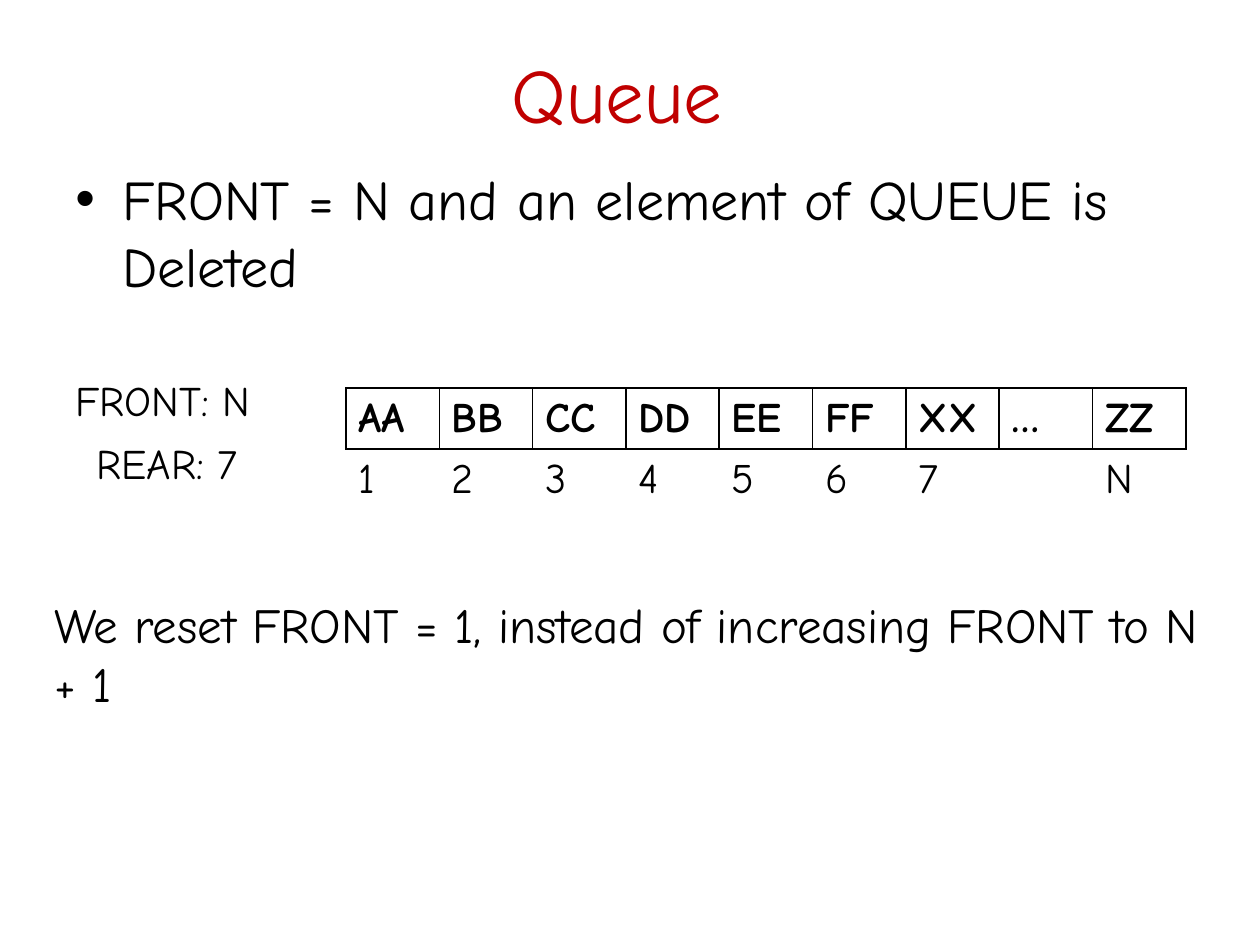
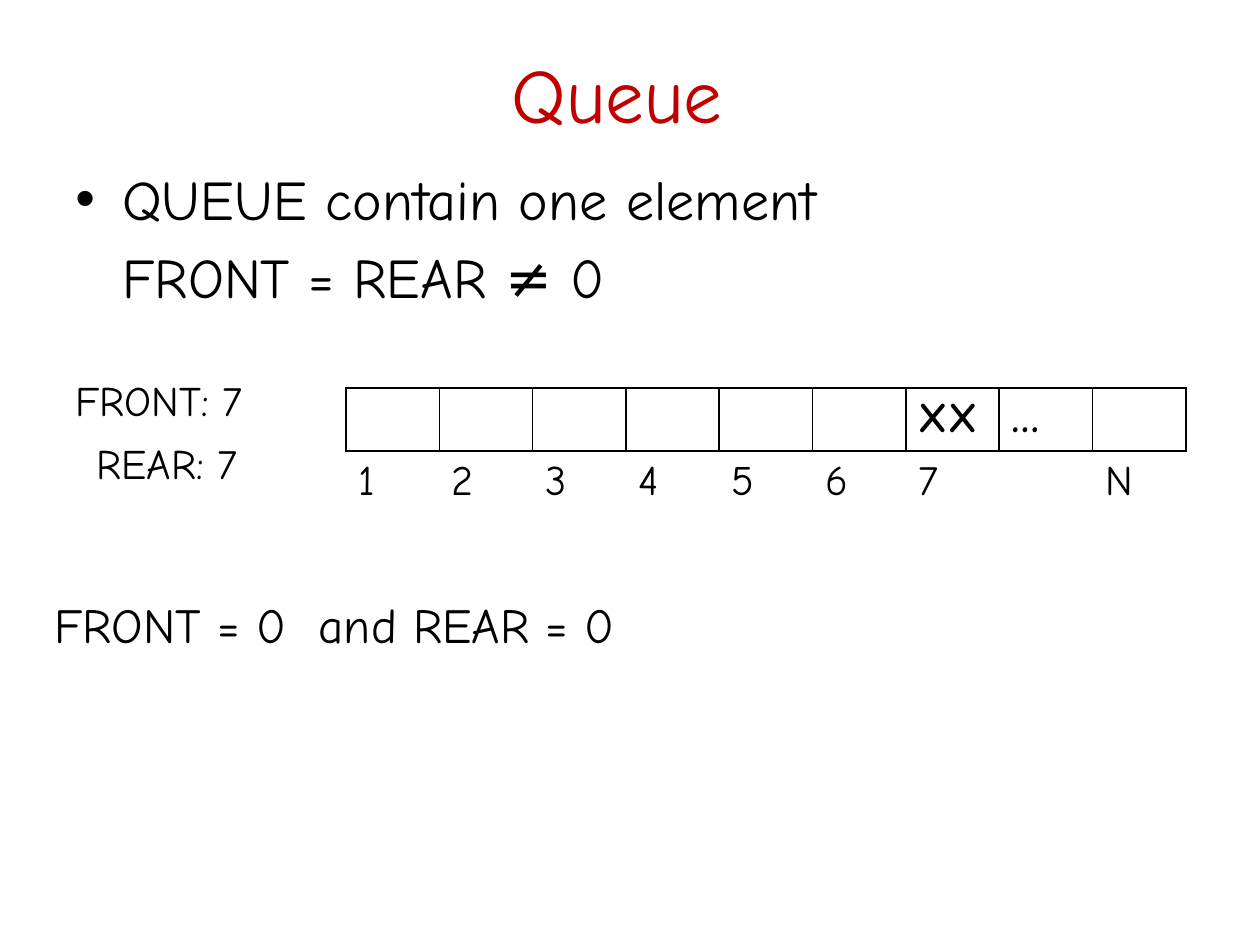
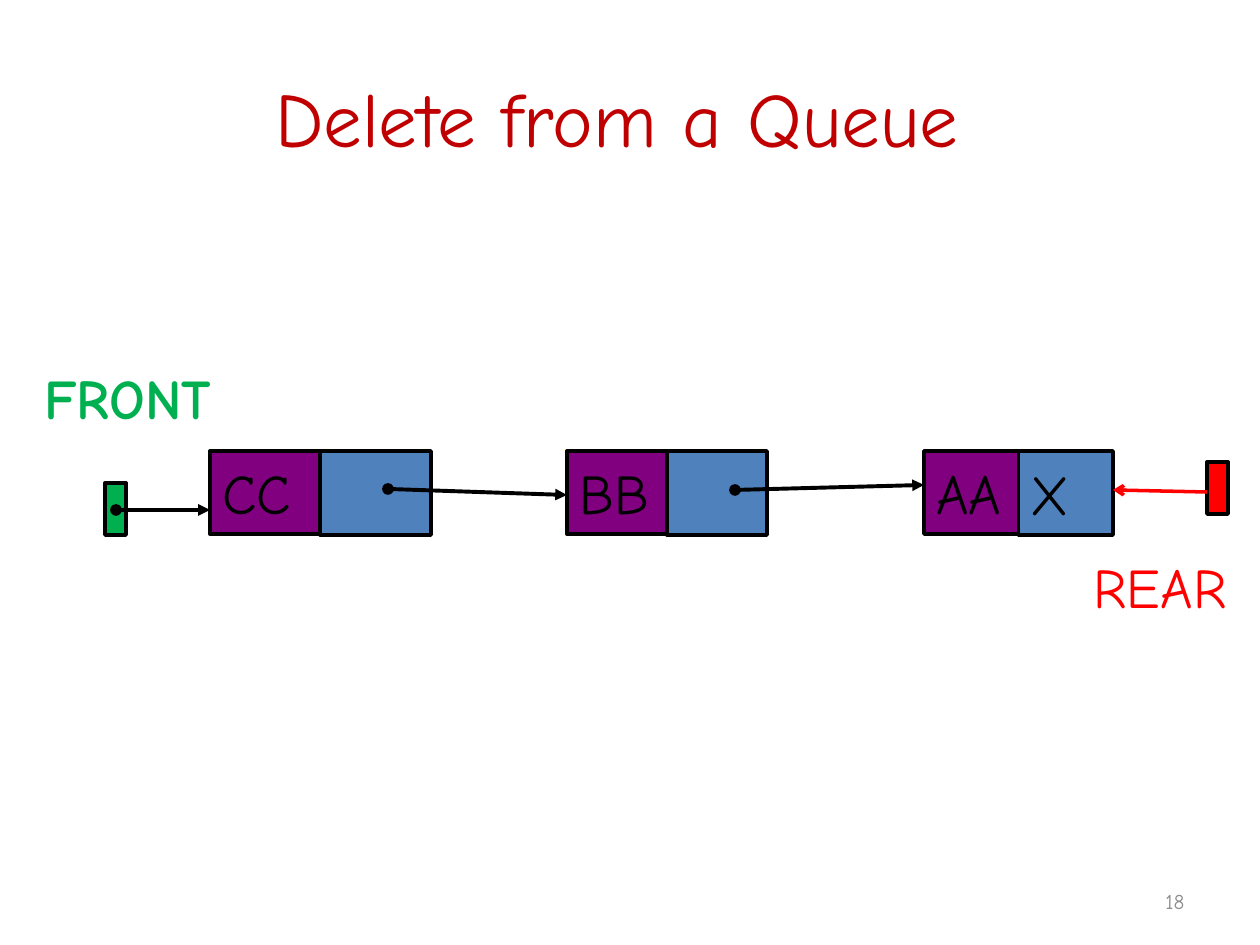
from dataclasses import dataclass

from lxml import etree
from pptx import Presentation
from pptx.dml.color import RGBColor
from pptx.enum.shapes import MSO_CONNECTOR, MSO_SHAPE
from pptx.enum.text import MSO_ANCHOR, MSO_AUTO_SIZE, PP_ALIGN
from pptx.oxml.ns import qn
from pptx.util import Pt

PX = 7257.14


@dataclass(frozen=True)
class Theme:
    """Hold the colours, type sizes and line widths of the deck."""
    font: str = "Comic Neue"
    title: str = "C00000"
    ink: str = "000000"
    data: str = "800080"
    pointer: str = "4F81BD"
    front: str = "00B050"
    rear: str = "FF0000"
    muted: str = "8C8C8C"
    title_size: int = 44
    body_size: int = 32
    note_size: int = 28
    cell_size: int = 24
    number_size: int = 12
    outline: float = 2.25
    rear_line: float = 2
    grid: float = 1


T = Theme()


def px(n):
    """Turn pixels into EMU."""
    return round(n * PX)


def rgb(color):
    """Turn a hex string into a colour."""
    return RGBColor.from_string(color)


def add_run(p, text, size, color=T.ink, bold=False):
    """Add one styled run to a paragraph."""
    r = p.add_run()
    r.text = text
    r.font.name, r.font.size, r.font.bold = T.font, Pt(size), bold
    r.font.color.rgb = rgb(color)


def add_text(shapes, box, text, size, color=T.ink, bold=False,
             align=PP_ALIGN.LEFT, anchor=MSO_ANCHOR.TOP, grow=False):
    """Place a wrapped line of text in a box."""
    tf = shapes.add_textbox(*map(px, box)).text_frame
    tf.word_wrap = True
    tf.vertical_anchor = anchor
    tf.auto_size = MSO_AUTO_SIZE.SHAPE_TO_FIT_TEXT if grow else MSO_AUTO_SIZE.NONE
    if text:
        p = tf.paragraphs[0]
        p.alignment = align
        add_run(p, text, size, color, bold)
    return tf


def add_title(s, text, height):
    """Place the centred slide title."""
    add_text(s.shapes, (63, 38, 1134, height), text, T.title_size, T.title,
             align=PP_ALIGN.CENTER, anchor=MSO_ANCHOR.MIDDLE)


def add_body(s, box, lines):
    """Place a bulleted first line and indented lines below it."""
    tf = add_text(s.shapes, box, "", T.body_size)
    for i, line in enumerate(lines):
        p = tf.add_paragraph() if i else tf.paragraphs[0]
        p.space_before = Pt(0.2 * T.body_size)
        pPr = p._p.get_or_add_pPr()
        pPr.set("marL", str(px(47)))
        pPr.set("indent", str(0 if i else -px(47)))
        if i == 0:
            etree.SubElement(pPr, qn("a:buFont")).set("typeface", "Arial")
            etree.SubElement(pPr, qn("a:buChar")).set("char", "\u2022")
        add_run(p, line, T.body_size)


def set_borders(cell, shown):
    """Draw the shown sides of a cell and clear the others."""
    tcPr = cell._tc.get_or_add_tcPr()
    for side in "LRTB":
        ln = etree.SubElement(tcPr, qn(f"a:ln{side}"), w=str(Pt(T.grid)))
        if side in shown:
            fill = etree.SubElement(ln, qn("a:solidFill"))
            etree.SubElement(fill, qn("a:srgbClr")).set("val", T.ink)
        else:
            etree.SubElement(ln, qn("a:noFill"))


def add_array(s, box, values):
    """Place the queue array with its indexes below the cells."""
    indexes = [*"1234567", "", "N"]
    x, y, w, h = box
    table = s.shapes.add_table(2, len(indexes), px(x), px(y), px(w), px(h)).table
    table.first_row = table.horz_banding = False
    for col in table.columns:
        col.width = px(w / len(indexes))
    for i, texts in enumerate((values, indexes)):
        table.rows[i].height = px(52)
        for j, text in enumerate(texts):
            cell = table.cell(i, j)
            set_borders(cell, "T" if i else "LRTB")
            cell.fill.background()
            if text:
                add_run(cell.text_frame.paragraphs[0], text, T.cell_size, bold=i == 0)


def array_slide(prs, lines, front, rear, values, note, note_height):
    """Build a slide that shows one state of the queue array."""
    s = prs.slides.add_slide(prs.slide_layouts[6])
    add_title(s, "Queue ", 109)
    add_body(s, (63, 158, 1134, 158), lines)
    add_array(s, (346, 388, 840, 126), values)
    add_text(s.shapes, (63, 368, 273, 63), front, T.cell_size, grow=True)
    add_text(s.shapes, (84, 431, 231, 63), rear, T.cell_size, grow=True)
    add_text(s.shapes, (42, 588, 1197, note_height), note, T.note_size, grow=True)


def add_block(shapes, box, fill, text=""):
    """Place an outlined rectangle with optional text."""
    sp = shapes.add_shape(MSO_SHAPE.RECTANGLE, *map(px, box))
    sp.shadow.inherit = False
    sp.fill.solid()
    sp.fill.fore_color.rgb = rgb(fill)
    sp.line.color.rgb = rgb(T.ink)
    sp.line.width = Pt(T.outline)
    if text:
        tf = sp.text_frame
        tf.word_wrap = False
        tf.vertical_anchor = MSO_ANCHOR.MIDDLE
        p = tf.paragraphs[0]
        p.alignment = PP_ALIGN.LEFT
        add_run(p, text, T.body_size)


def add_arrow(shapes, start, end, color=T.ink, width=T.outline, head="oval", tail="triangle"):
    """Draw a straight arrow between two points."""
    cx = shapes.add_connector(MSO_CONNECTOR.STRAIGHT, *map(px, (*start, *end)))
    cx.line.color.rgb = rgb(color)
    cx.line.width = Pt(width)
    ln = cx.line._get_or_add_ln()
    etree.SubElement(ln, qn("a:headEnd")).set("type", head)
    etree.SubElement(ln, qn("a:tailEnd")).set("type", tail)
    etree.SubElement(cx._element.spPr, qn("a:effectLst"))


def add_node(shapes, box, value, link=""):
    """Place a list node: a data half and a pointer half."""
    x, y, w, h = box
    add_block(shapes, (x + w / 2, y, w / 2, h), T.pointer, link)
    add_block(shapes, (x, y, w / 2, h - 1), T.data, value)


def add_linked_list(s, x, y):
    """Place the linked queue with its front pointer."""
    shapes = s.shapes.add_group_shape().shapes
    nodes = (("CC", 221, ""), ("BB", 200, ""), ("AA", 189, "X"))
    for i, (value, width, link) in enumerate(nodes):
        add_node(shapes, (x + 105 + 357 * i, y, width, 84), value, link)
    add_block(shapes, (x, y + 32, 21, 52), T.front)
    for x1, y1, x2, y2 in ((11, 59, 105, 59), (283, 38, 462, 44), (630, 39, 819, 34)):
        add_arrow(shapes, (x + x1, y + y1), (x + x2, y + y2))
    add_text(shapes, (x - 73, y - 94, 231, 81), "FRONT", T.body_size, T.front, True, grow=True)


def add_rear(s, x, y):
    """Place the rear pointer with its arrow and label."""
    add_block(s.shapes, (x, y, 21, 52), T.rear)
    add_arrow(s.shapes, (x, y + 30), (x - 94, y + 28), T.rear, T.rear_line, "none", "arrow")
    add_text(s.shapes, (x - 126, y + 84, 179, 81), "REAR", T.body_size, T.rear, grow=True)


def linked_slide(prs, title, number):
    """Build the slide that shows the queue as a linked list."""
    s = prs.slides.add_slide(prs.slide_layouts[6])
    add_title(s, title, 158)
    add_linked_list(s, 105, 451)
    add_text(s.shapes, (903, 876, 294, 50), number, T.number_size, T.muted,
             align=PP_ALIGN.RIGHT, anchor=MSO_ANCHOR.MIDDLE)
    add_rear(s, 1207, 462)


def main():
    """Build and save the deck."""
    prs = Presentation()
    prs.slide_width, prs.slide_height = px(1260), px(945)
    array_slide(prs, ["FRONT = N and an element of QUEUE is Deleted "],
                "FRONT: N", "REAR: 7",
                ["AA", "BB", "CC", "DD", "EE", "FF", "XX", "\u2026", "ZZ"],
                "We reset FRONT = 1, instead of increasing FRONT to N + 1 ", 131)
    array_slide(prs, ["QUEUE contain one element", "FRONT = REAR \u2260 0 "],
                "FRONT: 7", "REAR: 7 ",
                [""] * 6 + ["XX", "\u2026", ""],
                "FRONT = 0  and REAR = 0 ", 72)
    linked_slide(prs, "Delete from a Queue ", "18")
    prs.save("out.pptx")


main()
